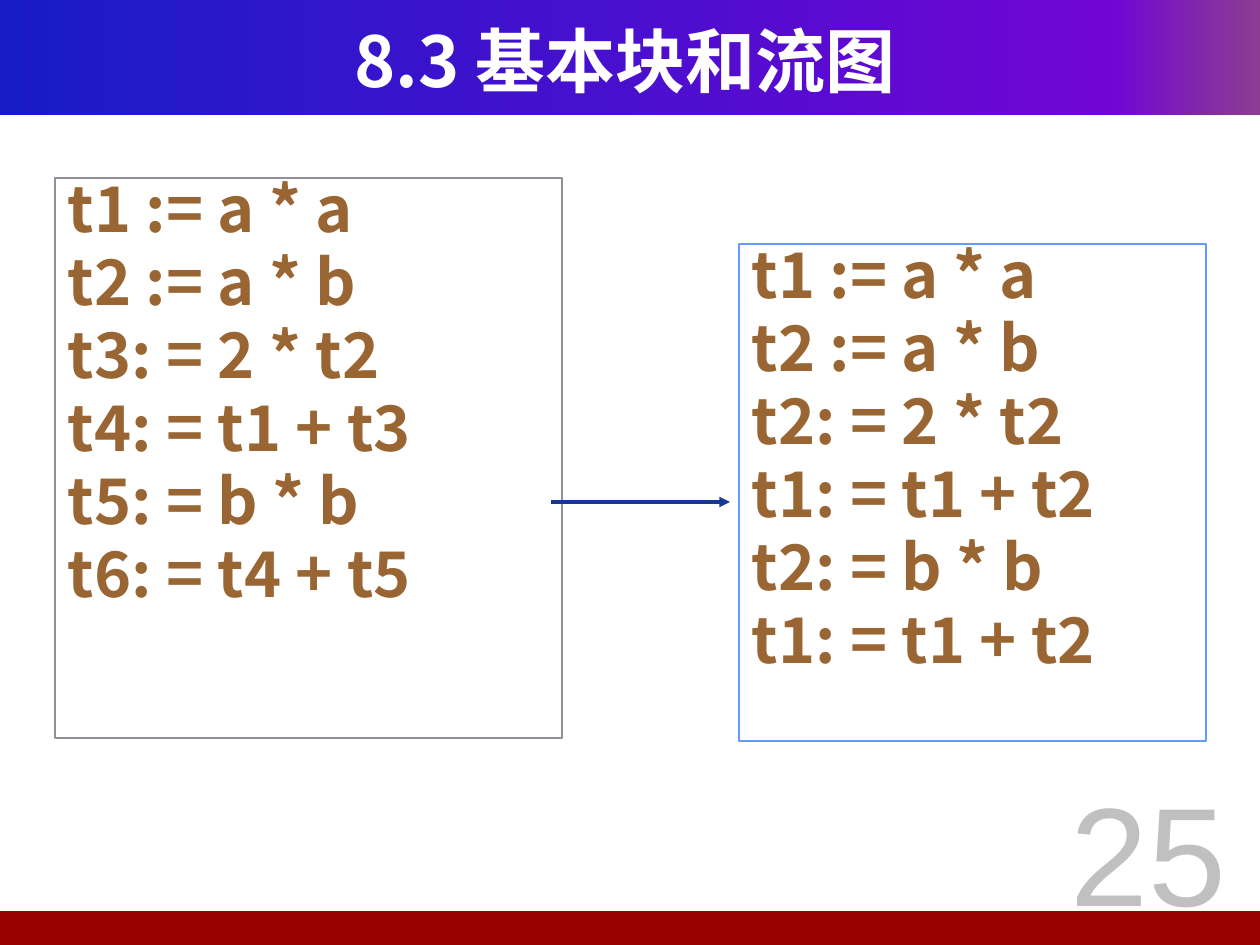
from lxml import etree
from pptx import Presentation
from pptx.dml.color import RGBColor
from pptx.enum.shapes import MSO_CONNECTOR, MSO_SHAPE
from pptx.enum.text import MSO_ANCHOR, MSO_AUTO_SIZE, PP_ALIGN
from pptx.oxml.ns import qn
from pptx.util import Emu, Pt

RECTANGLE = MSO_SHAPE.RECTANGLE
STRAIGHT = MSO_CONNECTOR.STRAIGHT
TOP, MIDDLE, BOTTOM = MSO_ANCHOR.TOP, MSO_ANCHOR.MIDDLE, MSO_ANCHOR.BOTTOM
LEFT, CENTER = PP_ALIGN.LEFT, PP_ALIGN.CENTER

TITLE = "8.3 基本块和流图"
PAGE_NUMBER = "25"
CODE_BLOCKS = [
    ((55, 178, 507, 560), "before", [
        "t1 := a * a", "t2 := a * b", "t3: = 2 * t2",
        "t4: = t1 + t3", "t5: = b * b", "t6: = t4 + t5",
    ]),
    ((739, 244, 467, 497), "after", [
        "t1 := a * a", "t2 := a * b", "t2: = 2 * t2",
        "t1: = t1 + t2", "t2: = b * b", "t1: = t1 + t2",
    ]),
]

SLIDE_SIZE = (1260, 945)
HEADER_BOX = (0, 0, 1260, 115)
FOOTER_BOX = (-5, 911, 1265, 34)
TITLE_BOX = (42, 21, 1166, 78)
NUMBER_BOX = (1037, 759, 223, 179)
ARROW = (551, 502, 730, 502)
MARGINS = (13, 6, 13, 6)
HANGING_INDENT = 47

THEME = {
    "header": [(0, "181CC7"), (88, "7005D4"), (100, "8C3D91")],
    "footer": "990000",
    "before": "909099",
    "after": "6699FF",
    "arrow": "163794",
    "title": ("Noto Sans CJK SC", 40, "FFFFFF", True),
    "code": ("Noto Sans CJK SC", 36, "996633", True),
    "number": ("Arial", 80, "C0C0C0", False),
    "code_gap": 7.2,
}


def px(value):
    return Emu(value * 914400 // 126)


def place(box):
    return [px(value) for value in box]


def color(value):
    return RGBColor.from_string(value)


def add_rectangle(slide, box):
    shape = slide.shapes.add_shape(RECTANGLE, *place(box))
    shape.shadow.inherit = False
    shape.line.fill.background()
    return shape


def fill_gradient(shape, stops):
    """Fill from left to right with any number of (percent, colour) stops."""
    shape.fill.gradient()
    shape.fill.gradient_angle = 0
    stop_list = shape.element.spPr.find(qn("a:gradFill")).find(qn("a:gsLst"))
    for old_stop in list(stop_list):
        stop_list.remove(old_stop)
    for percent, value in stops:
        stop = etree.SubElement(stop_list, qn("a:gs"), pos=str(percent * 1000))
        etree.SubElement(stop, qn("a:srgbClr"), val=value)


def write(shape, lines, style, alignment, anchor, margins=MARGINS):
    name, size, text_color, bold = style
    frame = shape.text_frame
    frame.word_wrap = True
    frame.auto_size = MSO_AUTO_SIZE.NONE
    frame.vertical_anchor = anchor
    (frame.margin_left, frame.margin_top,
     frame.margin_right, frame.margin_bottom) = place(margins)
    for index, line in enumerate(lines):
        paragraph = frame.add_paragraph() if index else frame.paragraphs[0]
        paragraph.alignment = alignment
        run = paragraph.add_run()
        run.text = line
        font = run.font
        font.name, font.size, font.bold = name, Pt(size), bold
        font.color.rgb = color(text_color)
        properties = run._r.get_or_add_rPr()
        etree.SubElement(properties, qn("a:ea"), typeface=name)
    return frame.paragraphs


def add_bars(slide):
    header = add_rectangle(slide, HEADER_BOX)
    fill_gradient(header, THEME["header"])
    footer = add_rectangle(slide, FOOTER_BOX)
    footer.fill.solid()
    footer.fill.fore_color.rgb = color(THEME["footer"])
    for bar in (header, footer):
        slide.shapes.title.element.addprevious(bar.element)


def add_code_block(slide, box, border, lines):
    block = add_rectangle(slide, box)
    block.fill.background()
    block.line.color.rgb = color(THEME[border])
    block.line.width = Pt(0.75)
    paragraphs = write(block, lines, THEME["code"], LEFT, TOP)
    for index, paragraph in enumerate(paragraphs):
        paragraph.line_spacing = 0.8
        if index:
            paragraph.space_before = Pt(THEME["code_gap"])
        properties = paragraph._p.get_or_add_pPr()
        properties.set("marL", str(px(HANGING_INDENT)))
        properties.set("indent", str(-px(HANGING_INDENT)))


def add_arrow(slide):
    arrow = slide.shapes.add_connector(STRAIGHT, *place(ARROW))
    arrow.line.color.rgb = color(THEME["arrow"])
    arrow.line.width = Pt(2)
    etree.SubElement(arrow.line._get_or_add_ln(), qn("a:tailEnd"), type="triangle")
    etree.SubElement(arrow.element.spPr, qn("a:effectLst"))


def main():
    presentation = Presentation()
    presentation.slide_width, presentation.slide_height = place(SLIDE_SIZE)
    slide = presentation.slides.add_slide(presentation.slide_layouts[5])
    title = slide.shapes.title
    title.left, title.top, title.width, title.height = place(TITLE_BOX)
    write(title, [TITLE], THEME["title"], CENTER, MIDDLE)
    add_bars(slide)
    for box, border, lines in CODE_BLOCKS:
        add_code_block(slide, box, border, lines)
    add_arrow(slide)
    number = slide.shapes.add_textbox(*place(NUMBER_BOX))
    write(number, [PAGE_NUMBER], THEME["number"], CENTER, BOTTOM, (13, 3, 13, 3))
    presentation.save("out.pptx")


if __name__ == "__main__":
    main()
